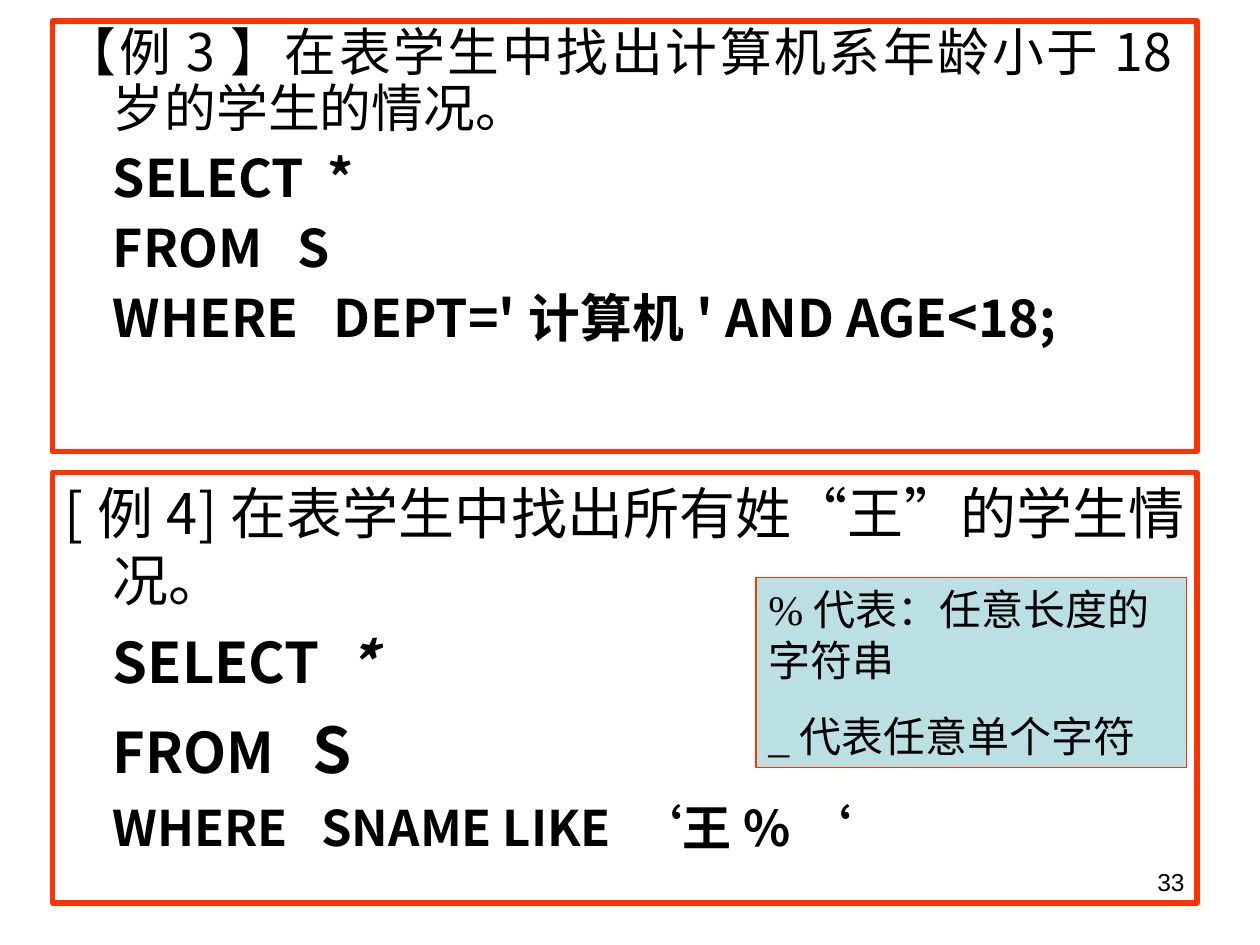
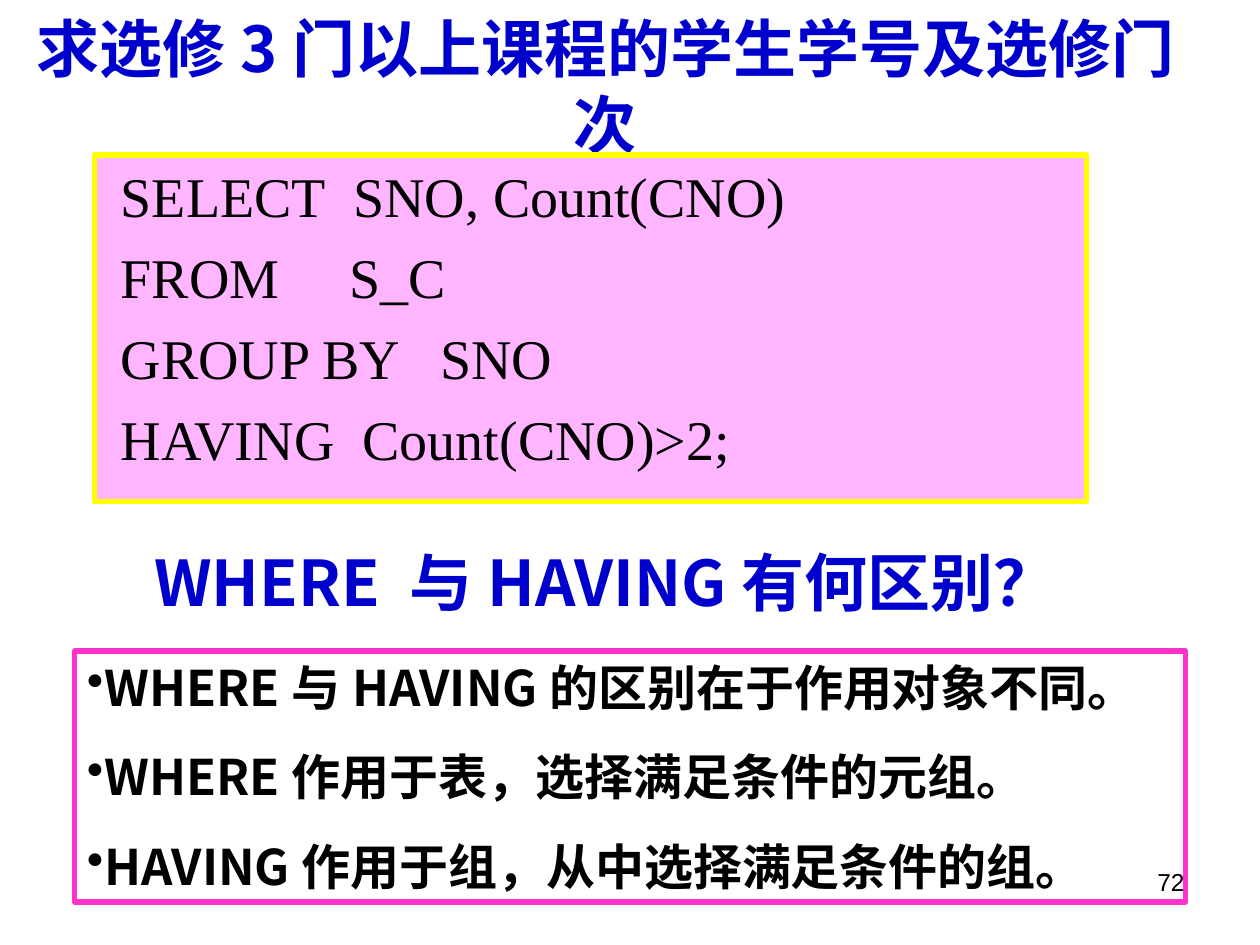
"""Build two SQL teaching slides: selection examples, and WHERE versus HAVING."""
import lxml.etree
import pptx
import pptx.dml.color
import pptx.enum.lang
import pptx.enum.shapes
import pptx.enum.text
import pptx.oxml.ns
import pptx.util

COLORS = {
    "text": "000000", "heading": "0000CC", "example": "FF3300", "note": "BBE0E3",
    "code": "FFB5FF", "code_line": "FFFF00", "points": "FF33CC",
}
SANS, SERIF, NUMBER = "Noto Sans CJK SC", "Times New Roman", "Arial"
COLUMNS, ROWS = 120, 90
HANGING = 0.38
ALIGN = pptx.enum.text.PP_ALIGN
ANCHOR = pptx.enum.text.MSO_ANCHOR
QUOTE = {"name": SERIF}

HEADING = {"size": 36, "color": "heading", "bold": True, "align": ALIGN.CENTER}
EXAMPLE = {"size": 32, "align": ALIGN.JUSTIFY, "before": 8}
SHORT_EXAMPLE = EXAMPLE | {"size": 29.6, "spacing": 0.9}
QUESTION_TEXT = {"margin": HANGING, "hanging": True}
QUERY = {"bold": True, "margin": HANGING}

EXAMPLE_BOXES = [
    {"grid": (5, 2, 109, 41), "line": ("example", 3), "style": SHORT_EXAMPLE, "paragraphs": [
        ("【例3】在表学生中找出计算机系年龄小于18岁的学生的情况。", QUESTION_TEXT),
        ("SELECT  *", QUERY),
        ("FROM   S", QUERY),
        ("WHERE   DEPT='计算机' AND AGE<18;", QUERY),
    ]},
    {"grid": (5, 45, 109, 41), "line": ("example", 3), "style": EXAMPLE, "paragraphs": [
        ([("[例4]在表学生中找出所有姓", {}), ("“", QUOTE), ("王", {}), ("”", QUOTE),
          ("的学生情况。", {})], QUESTION_TEXT),
        ([("SELECT  ", {}), ("*", {"italic": True})], QUERY),
        ([("FROM   ", {}), ("S", {"size": 36})], QUERY | {"before": 9}),
        ([("WHERE   SNAME LIKE ", {}), ("‘", QUOTE), ("王%", {}), ("‘", QUOTE)],
         QUERY | {"size": 28, "before": 7}),
    ]},
    {"grid": (72, 55, 41, 18.1), "fill": "note", "line": ("example", 0.75),
     "style": {"size": 24, "name": SERIF, "before": 15},
     "paragraphs": [("%代表：任意长度的字符串", {}), ("_代表任意单个字符", {})]},
]

TITLE = {"grid": (0, 2.5, 115.3, 11.3), "style": HEADING, "anchor": ANCHOR.MIDDLE,
         "paragraphs": [("求选修3门以上课程的学生学号及选修门次", {})]}
GROUPING_BOXES = [
    {"grid": (9, 14.75, 94.5, 33), "fill": "code", "line": ("code_line", 3),
     "style": {"size": 32, "name": SERIF, "before": 8, "margin": 0.11},
     "paragraphs": [(line, {}) for line in (
         "SELECT  SNO, Count(CNO)", "FROM     S_C", "GROUP BY   SNO", "HAVING  Count(CNO)>2;")]},
    {"grid": (7.1, 62, 105.8, 23.9), "line": ("points", 3),
     "style": {"size": 28, "bold": True, "before": 17.5, "bullet": "•"},
     "paragraphs": [(point, {}) for point in (
         "WHERE与HAVING的区别在于作用对象不同。",
         "WHERE作用于表，选择满足条件的元组。",
         "HAVING作用于组，从中选择满足条件的组。")]},
    {"grid": (0, 49.7, 115.3, 11.3), "style": HEADING, "anchor": ANCHOR.MIDDLE,
     "paragraphs": [("WHERE 与HAVING有何区别？", {})]},
]


def rgb(name):
    return pptx.dml.color.RGBColor.from_string(COLORS[name])


def place(presentation, grid):
    """Turn grid columns and rows into left, top, width and height."""
    units = (presentation.slide_width / COLUMNS, presentation.slide_height / ROWS) * 2
    return [round(cells * unit) for cells, unit in zip(grid, units)]


def format_paragraph(paragraph, style, first):
    """Set indents, spacing, bullet and font of a paragraph."""
    paragraph.alignment = style.get("align", ALIGN.LEFT)
    paragraph.line_spacing = style.get("spacing", 1.0)
    paragraph.space_before = pptx.util.Pt(0 if first else style.get("before", 0))
    properties = paragraph._p.get_or_add_pPr()
    margin = pptx.util.Inches(style.get("margin", 0))
    properties.set("marL", str(margin))
    properties.set("indent", str(-margin if style.get("hanging") else 0))
    if "bullet" in style:
        bullet = lxml.etree.SubElement(properties, pptx.oxml.ns.qn("a:buChar"))
        bullet.set("char", style["bullet"])
    font = paragraph.font
    font.size = pptx.util.Pt(style["size"])
    font.bold = style.get("bold", False)
    font.color.rgb = rgb(style.get("color", "text"))
    font.name = style.get("name", SANS)
    font.language_id = pptx.enum.lang.MSO_LANGUAGE_ID.SIMPLIFIED_CHINESE
    east_asian = lxml.etree.SubElement(font._element, pptx.oxml.ns.qn("a:ea"))
    east_asian.set("typeface", SANS)


def add_runs(paragraph, runs):
    """Add runs, each with only the font values that differ."""
    for text, changes in runs:
        run = paragraph.add_run()
        run.text = text
        run.font.language_id = pptx.enum.lang.MSO_LANGUAGE_ID.SIMPLIFIED_CHINESE
        for key, value in changes.items():
            setattr(run.font, key, pptx.util.Pt(value) if key == "size" else value)


def write_text(shape, box):
    """Fill a shape with the paragraphs of a box."""
    frame = shape.text_frame
    frame.word_wrap = True
    frame.auto_size = pptx.enum.text.MSO_AUTO_SIZE.NONE
    frame.vertical_anchor = box.get("anchor", ANCHOR.TOP)
    for index, (content, changes) in enumerate(box["paragraphs"]):
        paragraph = frame.add_paragraph() if index else frame.paragraphs[0]
        format_paragraph(paragraph, box["style"] | changes, index == 0)
        add_runs(paragraph, [(content, {})] if isinstance(content, str) else content)


def add_box(presentation, slide, box):
    """Add a framed rectangle, or a plain text box where there is no line."""
    position = place(presentation, box["grid"])
    if "line" in box:
        shape = slide.shapes.add_shape(pptx.enum.shapes.MSO_SHAPE.RECTANGLE, *position)
        shape.shadow.inherit = False
        color, width = box["line"]
        shape.line.color.rgb = rgb(color)
        shape.line.width = pptx.util.Pt(width)
        if "fill" in box:
            shape.fill.solid()
            shape.fill.fore_color.rgb = rgb(box["fill"])
        else:
            shape.fill.background()
    else:
        shape = slide.shapes.add_textbox(*position)
    write_text(shape, box)


def add_slide(presentation, number, boxes, title=None):
    """Add a slide with its page number, optional title and boxes."""
    slide = presentation.slides.add_slide(presentation.slide_layouts[5 if title else 6])
    add_box(presentation, slide, {
        "grid": (86, 82, 28, 6.2), "paragraphs": [(number, {})],
        "style": {"size": 14, "name": NUMBER, "align": ALIGN.RIGHT}})
    if title:
        shape = slide.shapes.title
        shape.left, shape.top, shape.width, shape.height = place(presentation, title["grid"])
        write_text(shape, title)
    for box in boxes:
        add_box(presentation, slide, box)


def main():
    presentation = pptx.Presentation()
    presentation.slide_width = pptx.util.Inches(10)
    presentation.slide_height = pptx.util.Inches(7.5)
    add_slide(presentation, "33", EXAMPLE_BOXES)
    add_slide(presentation, "72", GROUPING_BOXES, TITLE)
    presentation.save("out.pptx")


if __name__ == "__main__":
    main()
